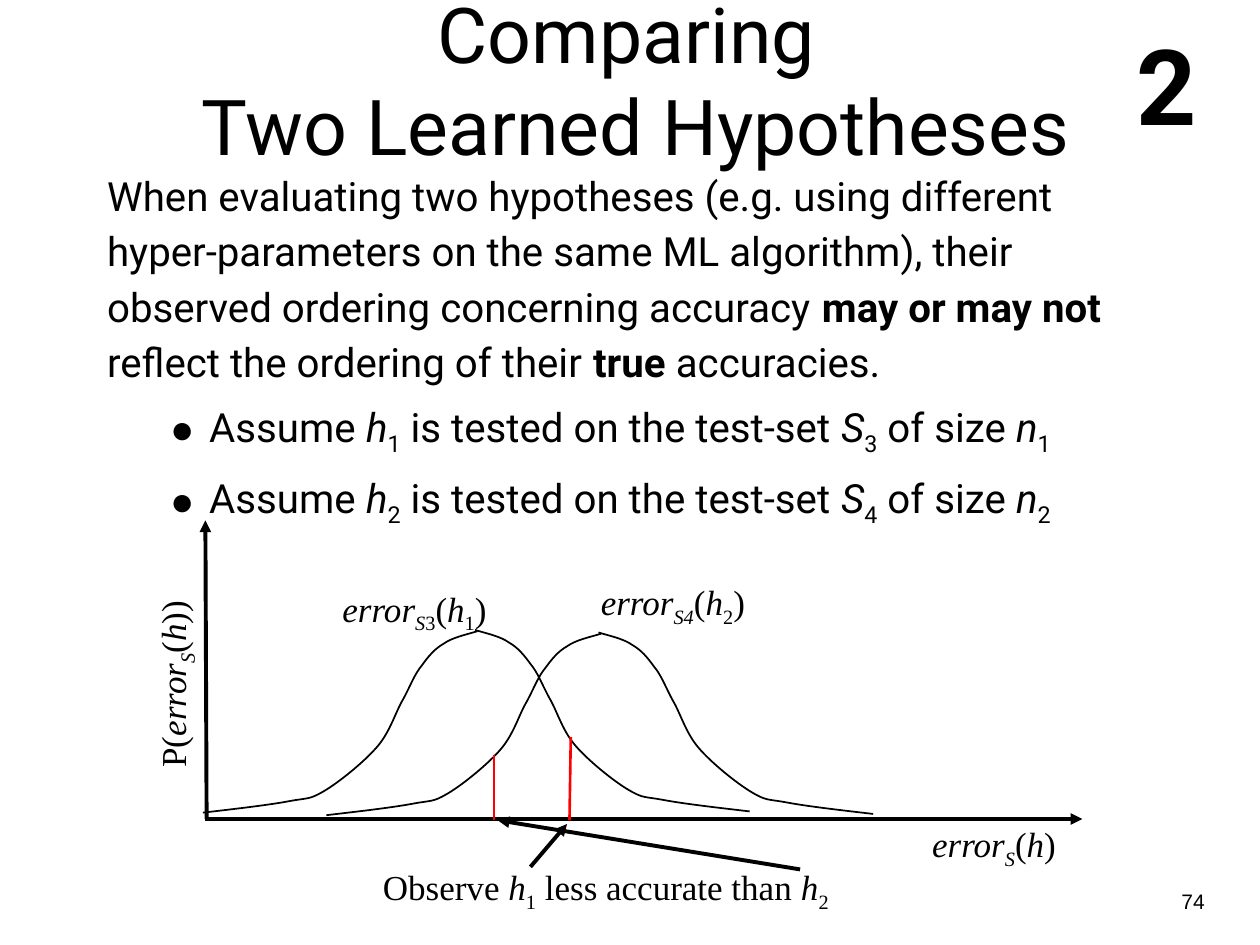
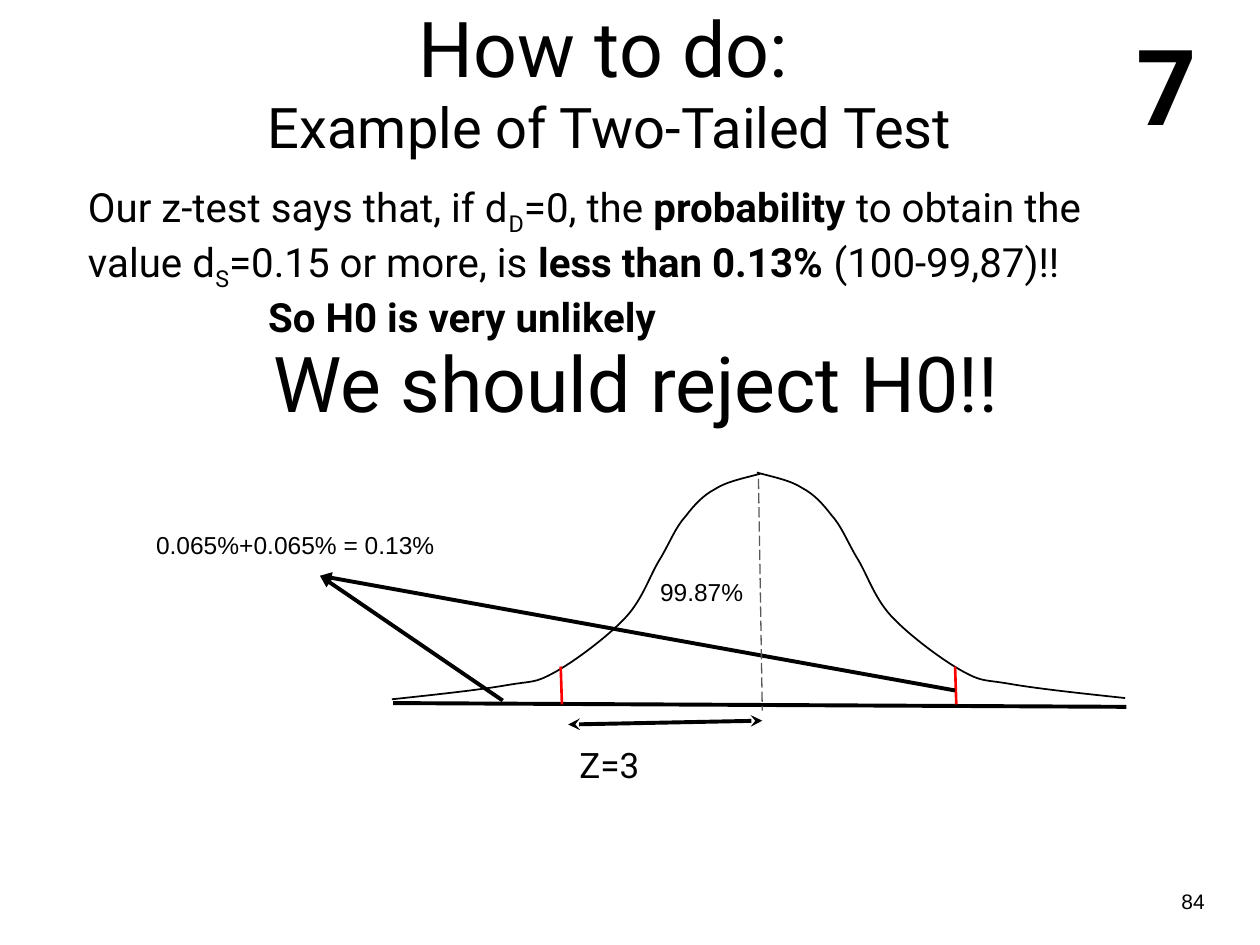
from dataclasses import dataclass

from lxml.etree import SubElement
from pptx import Presentation
from pptx.dml.color import RGBColor as RGB
from pptx.enum.dml import MSO_LINE as DASH
from pptx.enum.shapes import MSO_CONNECTOR as CONN
from pptx.enum.text import MSO_ANCHOR as ANCHOR, MSO_AUTO_SIZE as AUTO, PP_ALIGN as ALIGN
from pptx.oxml.ns import qn
from pptx.util import Pt

PX = 9144  # EMU in one px, 100 px to the inch


@dataclass(frozen=True)
class Theme:
    ink: RGB = RGB(0, 0, 0)
    cut: RGB = RGB(255, 0, 0)
    faint: RGB = RGB(0x59, 0x59, 0x59)
    main: str = "Roboto"
    math: str = "Times New Roman"
    note: str = "Arial"
    title: int = 44
    subtitle: int = 32
    body: int = 23
    label: int = 20
    value: int = 14
    number: int = 12
    badge: int = 60


T = Theme()
LINES = {  # colour, width in points, dash
    "axis": (T.ink, 2.25, None),
    "curve": (T.ink, 1, None),
    "cut": (T.cut, 1.5, None),
    "mean": (T.faint, 0.75, DASH.LONG_DASH),
}
FONTS = {  # name, size
    "math": (T.math, T.label),
    "body": (T.main, T.body),
    "label": (T.main, T.label),
    "shout": (T.main, T.title),
    "value": (T.note, T.value),
}

# Left half of a bell: Bezier points on a 217 x 144 px field
BELL_SIZE = (217, 144)
BELL = [(0, 144), (26, 141), (52, 138), (68, 135), (84, 132), (84, 134), (96, 127),
        (108, 120), (129, 103), (139, 91), (149, 79), (153, 64), (159, 54), (165, 43),
        (168, 34), (174, 27), (179, 20), (184, 14), (191, 10), (198, 5), (208, 3), (218, 0)]

# Runs are plain strings or (text, marks): b bold, i italic, s subscript, or a size


def assume(n, test_set):
    return ["Assume ", ("h", "i"), (n, "s"), " is tested on the test-set ", ("S", "i"),
            (test_set, "s"), " of size ", ("n", "i"), (n, "s")]


BULLET = dict(level=1, margin=81, hang=-31, spacing=1.15, before=4.8, bullet="●")
SLIDES = [
    dict(
        layout=1, number="74", badge="2", title_at=(21, 8, 968, 109),
        title=[["Comparing "], ["Two Learned Hypotheses"]],
        body_at=(75, 125, 850, 252),
        body=[
            dict(spacing=1.15, runs=[
                "When evaluating two hypotheses (e.g. using different hyper-parameters on the "
                "same ML algorithm), their observed ordering concerning accuracy ",
                ("may or may not ", "b"), "reflect the ordering of their ", ("true", "b"),
                " accuracies."]),
            dict(BULLET, runs=assume("1", "3")),
            dict(BULLET, runs=assume("2", "4")),
        ],
        bells=[(161, 501, 217, 144), (259, 503, 217, 144)],
        lines=[  # from, to, style, arrowheads at (from, to)
            ((163, 413), (164, 650), "axis", ("triangle", None)),
            ((163, 650), (859, 650), "axis", (None, "triangle")),
            ((392, 599), (392, 651), "cut", ()),
            ((453, 585), (452, 651), "cut", ()),
            ((421, 688), (450, 654), "axis", (None, "triangle")),
            ((635, 690), (395, 651), "axis", (None, "triangle")),
        ],
        texts=[  # place, font, paragraphs, more settings
            ((60, 521, 153, 43), "math", [dict(runs=[
                "P(", ("error", "i"), ("S", "is"), "(", ("h", "i"), "))"])], dict(turn=270)),
            ((730, 648, 144, 43), "math", [dict(runs=[
                ("error", "i"), ("S", "is"), "(", ("h", "i"), ")"])], {}),
            ((262, 461, 144, 44), "math", [dict(runs=[
                ("error", "i"), ("S", "is"), ("3", "s"), "(", ("h", "i"), ("1", "s"), ")"])], {}),
            ((467, 456, 148, 44), "math", [dict(runs=[
                ("error", "i"), ("S4", "is"), "(", ("h", "i"), ("2", "s"), ")"])], {}),
            ((294, 682, 399, 43), "math", [dict(runs=[
                "Observe ", ("h", "i"), ("1", "s"), " less accurate than ",
                ("h", "i"), ("2", "s")])], {}),
        ],
    ),
    dict(
        layout=5, number="84", badge="7", title_at=(59, 9, 850, 109),
        title=[["How to do:", (" ", 28)], [("Example of Two-Tailed Test", T.subtitle)]],
        bells=[(311, 376, 291, 179)],
        lines=[
            ((451, 575), (605, 572), "axis", ("stealth", "stealth")),
            ((312, 558), (894, 561), "axis", ()),
            ((445, 529), (446, 559), "cut", ()),
            ((758, 529), (759, 559), "cut", ()),
            ((758, 548), (254, 457), "axis", (None, "triangle")),
            ((399, 556), (254, 457), "axis", (None, "triangle")),
            ((602, 380), (605, 564), "mean", ()),
        ],
        texts=[
            ((60, 140, 890, 77), "body", [
                dict(runs=["Our z-test says that, if d", ("D", "s"), "=0, the ",
                           ("probability ", "b"), "to obtain the value d", ("S", "s"),
                           "=0.15 or more, is ", ("less than 0.13% ", "b"), "(100-99,87)!!"]),
                dict(margin=143, runs=[("So H0 is very unlikely", "b")])], {}),
            ((450, 585, 111, 47), "label", [dict(runs=["Z=3"])], {}),
            ((514, 448, 126, 46), "value", [dict(runs=["99.87%"])], dict(inset=10)),
            ((114, 411, 279, 46), "value", [dict(runs=["0.065%+0.065% = 0.13%"])],
             dict(inset=10)),
            ((138, 256, 734, 99), "shout", [
                dict(align=ALIGN.CENTER, runs=["We should reject H0!!"])], dict(inset=10)),
        ],
    ),
]


def emu(*lengths):
    return [round(v * PX) for v in lengths]


def add_run(p, run, font, size, bold):
    text, marks = (run, "") if isinstance(run, str) else run
    if isinstance(marks, int):
        size, marks = marks, ""
    r = p.add_run()
    r.text = text
    f = r.font
    f.name, f.size, f.color.rgb = font, Pt(size), T.ink
    f.bold, f.italic = bold or "b" in marks, "i" in marks
    if "s" in marks:
        r._r.get_or_add_rPr().set("baseline", "-25000")


def set_bullet(pPr, char):
    if not char:
        SubElement(pPr, qn("a:buNone"))
        return
    colour = SubElement(pPr, qn("a:buClr"))
    SubElement(colour, qn("a:srgbClr")).set("val", str(T.ink))
    SubElement(pPr, qn("a:buChar")).set("char", char)


def write(tf, paras, font, size, bold=False):
    tf.word_wrap, tf.auto_size = True, AUTO.NONE
    for i, para in enumerate(paras):
        p = tf.paragraphs[0] if i == 0 else tf.add_paragraph()
        p.level = para.get("level", 0)
        p.alignment = para.get("align", ALIGN.LEFT)
        p.line_spacing = para.get("spacing", 1.0)
        p.space_before = Pt(para.get("before", 0))
        pPr = p._p.get_or_add_pPr()
        for name, key in (("marL", "margin"), ("indent", "hang")):
            pPr.set(name, str(emu(para.get(key, 0))[0]))
        set_bullet(pPr, para.get("bullet"))
        for run in para["runs"]:
            add_run(p, run, font, size, bold)


def place(s, at):
    s.left, s.top, s.width, s.height = emu(*at)


def add_text(slide, at, paras, font, size, bold=False, turn=0, inset=5):
    s = slide.shapes.add_textbox(*emu(*at))
    s.rotation = turn
    tf = s.text_frame
    tf.margin_top, tf.margin_bottom = emu(inset, inset)
    write(tf, paras, font, size, bold)


def set_line(line, style):
    colour, width, dash = LINES[style]
    line.color.rgb, line.width = colour, Pt(width)
    if dash:
        line.dash_style = dash


def add_line(slide, start, end, style, heads):
    s = slide.shapes.add_connector(CONN.STRAIGHT, *emu(*start, *end))
    set_line(s.line, style)
    spPr = s._element.spPr
    for tag, head in zip(("a:headEnd", "a:tailEnd"), heads):
        if head:
            SubElement(spPr.find(qn("a:ln")), qn(tag)).set("type", head)
    SubElement(spPr, qn("a:effectLst"))


def bend(s):
    """Turn every three straight segments into one cubic Bezier."""
    steps = list(s._element.iter(qn("a:lnTo")))
    track = steps[0].getparent()
    for i in range(0, len(steps), 3):
        curve = SubElement(track, qn("a:cubicBezTo"))
        for step in steps[i:i + 3]:
            curve.append(step[0])
            track.remove(step)


def add_bell(slide, left, top, width, height):
    """Draw two mirrored halves; the right one sits 1 px higher."""
    group = slide.shapes.add_group_shape()
    kx, ky = width / BELL_SIZE[0], height / BELL_SIZE[1]
    half = [(x * kx, y * ky) for x, y in BELL]
    left_half = [(left + x, top + y) for x, y in half]
    right_half = [(left + 2 * width - x, top + y - 1) for x, y in half]
    for points in (left_half, right_half):
        first, *rest = [emu(*pt) for pt in points]
        outline = group.shapes.build_freeform(*first)
        outline.add_line_segments(rest, close=False)
        s = outline.convert_to_shape()
        bend(s)
        s.shadow.inherit = False
        s.fill.background()
        set_line(s.line, "curve")


def add_slide(prs, content):
    slide = prs.slides.add_slide(prs.slide_layouts[content["layout"]])
    title = slide.shapes.title
    place(title, content["title_at"])
    title.text_frame.vertical_anchor = ANCHOR.MIDDLE
    write(title.text_frame, [dict(runs=runs, align=ALIGN.CENTER) for runs in content["title"]],
          T.main, T.title)
    if "body" in content:
        body = slide.placeholders[1]
        place(body, content["body_at"])
        write(body.text_frame, content["body"], *FONTS["body"])
    for bell in content["bells"]:
        add_bell(slide, *bell)
    for line in content["lines"]:
        add_line(slide, *line)
    for at, font, paras, more in content["texts"]:
        add_text(slide, at, paras, *FONTS[font], **more)
    add_text(slide, (855, 23, 120, 113),
             [dict(runs=[content["badge"]], margin=37, spacing=0.9)],
             T.main, T.badge, bold=True)
    add_text(slide, (902, 700, 64, 50), [dict(runs=[content["number"]], align=ALIGN.RIGHT)],
             T.note, T.number)


def main():
    prs = Presentation()
    prs.slide_width, prs.slide_height = emu(1000, 750)
    for content in SLIDES:
        add_slide(prs, content)
    prs.save("out.pptx")


if __name__ == "__main__":
    main()
